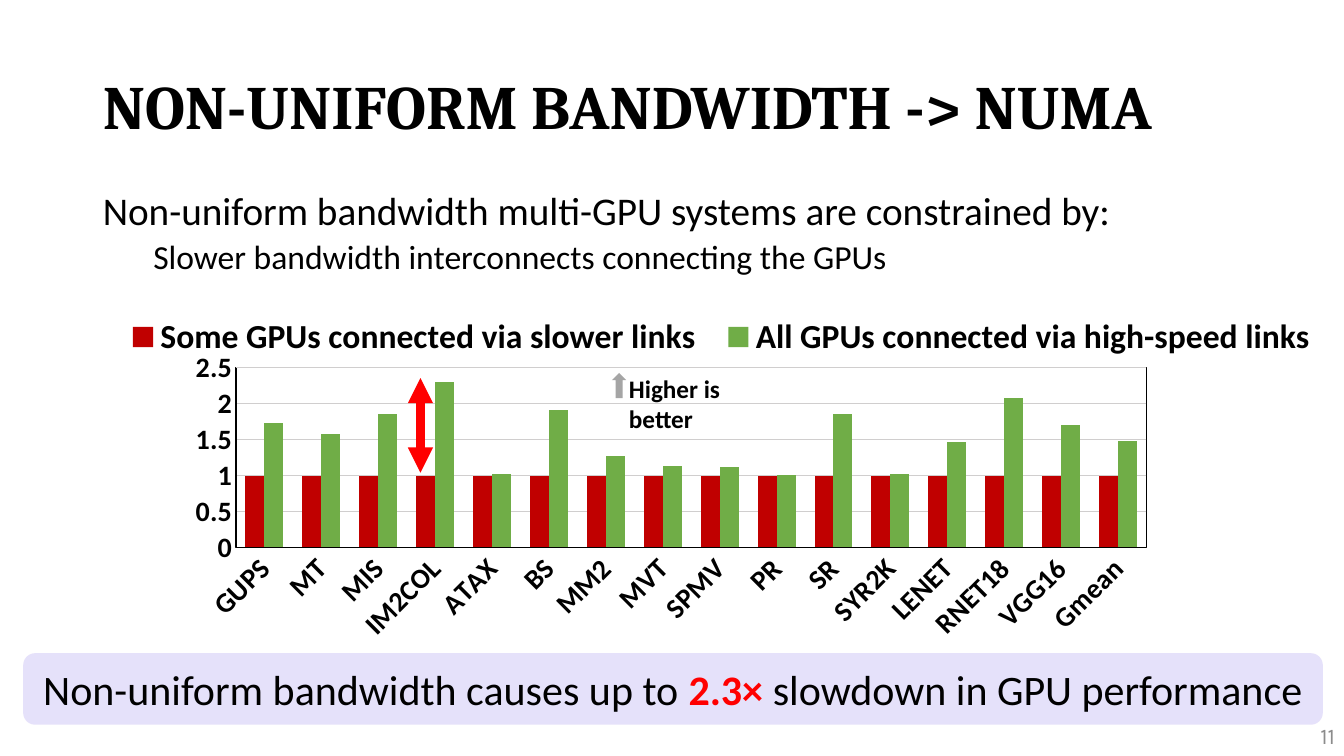
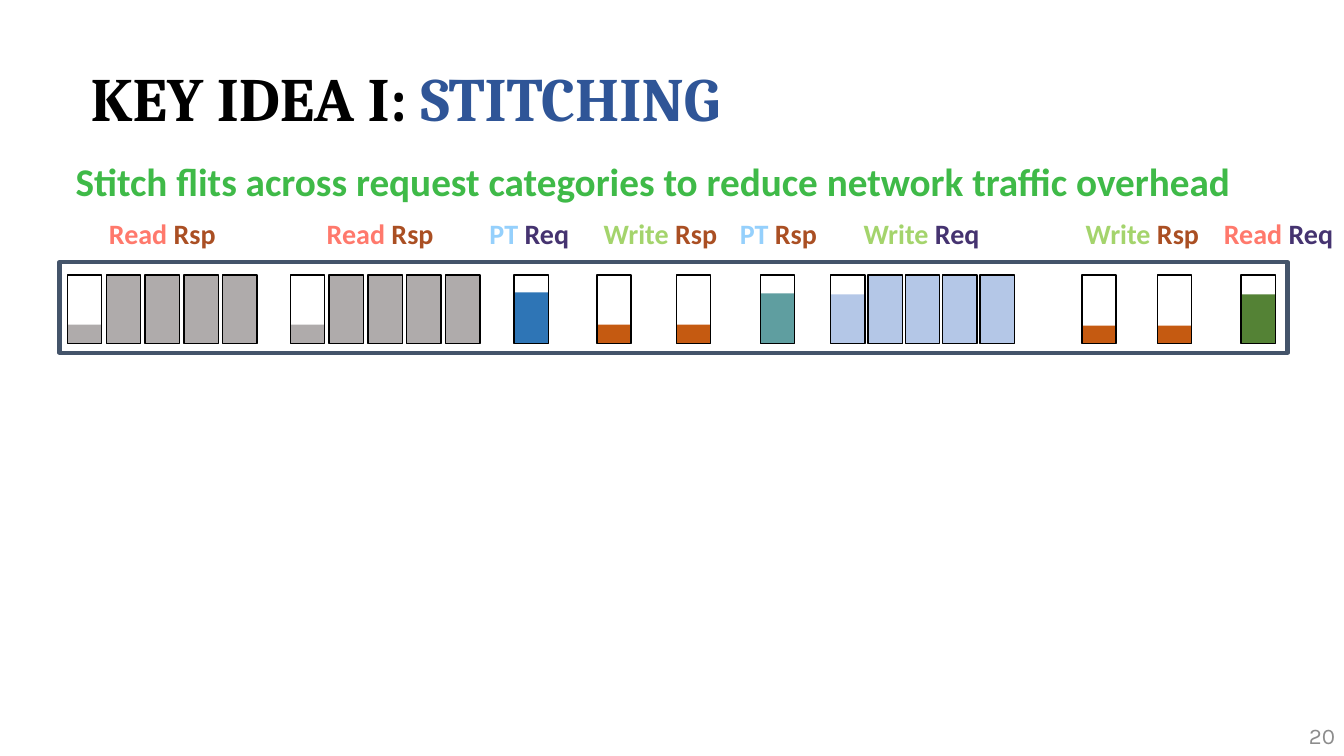
from lxml.etree import SubElement
from pptx import Presentation
from pptx.chart.data import CategoryChartData
from pptx.dml.color import RGBColor
from pptx.enum.chart import XL_CHART_TYPE, XL_LEGEND_POSITION, XL_TICK_MARK
from pptx.enum.shapes import MSO_CONNECTOR, MSO_SHAPE
from pptx.enum.text import MSO_ANCHOR, MSO_AUTO_SIZE, PP_ALIGN
from pptx.oxml import parse_xml
from pptx.oxml.ns import nsdecls, qn
from pptx.util import Inches, Pt

color = RGBColor.from_string
BLACK = "000000"
RED = "FF0000"
GREY = "AFABAB"
ORANGE = "C55A11"
PALE_BLUE = "B4C7E7"


def write(para, spans, size, font="Calibri", bold=False, align=PP_ALIGN.LEFT):
    para.alignment = align
    para.font.size = Pt(size)
    para.font.name = font
    para.font.bold = bold
    if len(spans) == 1:
        para.font.color.rgb = color(spans[0][1])
    for text, ink in spans:
        span = para.add_run()
        span.text = text
        if len(spans) > 1:
            span.font.color.rgb = color(ink)


def add_box(page, preset, left, top, width, height, fill=None, line=None, weight=1):
    box = page.shapes.add_shape(preset, Inches(left), Inches(top), Inches(width), Inches(height))
    box.shadow.inherit = False
    if fill:
        box.fill.solid()
        box.fill.fore_color.rgb = color(fill)
    else:
        box.fill.background()
    if line:
        box.line.color.rgb = color(line)
        box.line.width = Pt(weight)
    else:
        box.line.fill.background()
    return box


deck = Presentation()
deck.slide_width = Inches(13.33)
deck.slide_height = Inches(7.5)

outlines = [
    {
        "number": "11",
        "title": [("NON-UNIFORM BANDWIDTH -> NUMA", BLACK)],
        "title_at": (0.92, 0.36),
        "body_at": (0.92, 1.85, 10.63, 0.88),
        "lines": [
            ("Non-uniform bandwidth multi-GPU systems are constrained by:", 0, 28, BLACK, False),
            ("Slower bandwidth interconnects connecting the GPUs", 1, 24, BLACK, False),
        ],
    },
    {
        "number": "20",
        "title": [("KEY IDEA I: ", BLACK), ("STITCHING", "2F5597")],
        "title_at": (0.8, 0.28),
        "body_at": (0.65, 1.56, 12.06, 0.66),
        "lines": [
            ("Stitch flits across request categories to reduce network traffic overhead",
             0, 28, "3FBA48", True),
        ],
    },
]

pages = []
for outline in outlines:
    page = deck.slides.add_slide(deck.slide_layouts[1])
    pages.append(page)

    title = page.shapes.title
    title.left, title.top = [Inches(length) for length in outline["title_at"]]
    title.width, title.height = Inches(11.5), Inches(1.45)
    title.text_frame.auto_size = MSO_AUTO_SIZE.NONE
    title.text_frame.vertical_anchor = MSO_ANCHOR.MIDDLE
    para = title.text_frame.paragraphs[0]
    para.line_spacing = 0.9
    write(para, outline["title"], 44, "Cambria", True)

    body = page.placeholders[1]
    body.left, body.top, body.width, body.height = [Inches(length) for length in outline["body_at"]]
    body.text_frame.auto_size = MSO_AUTO_SIZE.NONE
    for index, (text, level, size, ink, bold) in enumerate(outline["lines"]):
        para = body.text_frame.add_paragraph() if index else body.text_frame.paragraphs[0]
        para.level = level
        para.line_spacing = 0.9
        para.space_before = Pt(5 if level else 10)
        properties = para._p.get_or_add_pPr()
        properties.set("marL", str(Inches(0.5 * level)))
        properties.set("indent", "0")
        SubElement(properties, qn("a:buNone"))
        write(para, [(text, ink)], size, bold=bold)

    number = page.shapes.add_textbox(Inches(10.34), Inches(7.1), Inches(3), Inches(0.4))
    number.text_frame.word_wrap = True
    number.text_frame.vertical_anchor = MSO_ANCHOR.MIDDLE
    write(number.text_frame.paragraphs[0], [(outline["number"], "8C8C8C")], 16, "Karla",
          align=PP_ALIGN.RIGHT)

bandwidth_page, stitching_page = pages

chart_data = CategoryChartData()
chart_data.categories = ["GUPS", "MT", "MIS", "IM2COL", "ATAX", "BS", "MM2", "MVT", "SPMV", "PR",
                         "SR", "SYR2K", "LENET", "RNET18", "VGG16", "Gmean"]
chart_data.add_series("Some GPUs connected via slower links", [1] * 16)
chart_data.add_series("All GPUs connected via high-speed links",
                      [1.73, 1.58, 1.86, 2.3, 1.02, 1.91, 1.27, 1.14, 1.12, 1.01,
                       1.85, 1.02, 1.46, 2.08, 1.71, 1.48])
chart = bandwidth_page.shapes.add_chart(
    XL_CHART_TYPE.COLUMN_CLUSTERED, Inches(0.04), Inches(3.01), Inches(13.3), Inches(4.77),
    chart_data).chart
chart.has_title = False
chart.font.name = "Calibri"
chart.font.size = Pt(10)
chart.font.color.rgb = color(BLACK)

chart.has_legend = True
chart.legend.position = XL_LEGEND_POSITION.TOP
chart.legend.include_in_layout = False
chart_fonts = [(chart.legend.font, 24)]
for axis in (chart.category_axis, chart.value_axis):
    axis.major_tick_mark = XL_TICK_MARK.NONE
    axis.minor_tick_mark = XL_TICK_MARK.NONE
    axis.format.line.color.rgb = color(BLACK)
    axis.format.line.width = Pt(0.75)
    chart_fonts.append((axis.tick_labels.font, 20))
for font, size in chart_fonts:
    font.name = "Calibri"
    font.size = Pt(size)
    font.bold = True
    font.color.rgb = color(BLACK)

chart.value_axis.minimum_scale = 0
chart.value_axis.maximum_scale = 2.5
chart.value_axis.major_unit = 0.5
gridlines = chart.value_axis.major_gridlines.format.line
gridlines.color.rgb = color("D0CECE")
gridlines.width = Pt(0.75)

plot = chart.plots[0]
plot.gap_width = 100
plot.overlap = 0
plot.vary_by_categories = False
for series, ink in zip(plot.series, ("C00000", "70AD47")):
    series.format.fill.solid()
    series.format.fill.fore_color.rgb = color(ink)

plot_area = chart.element.find(".//" + qn("c:plotArea"))
legend = chart.element.find(".//" + qn("c:legend"))
layouts = [
    (plot_area, 0, '<c:layoutTarget val="inner"/>', (0.173, 0.134, 0.679, 0.374)),
    (legend, 1, "", (0.08, 0.02, 0.91, 0.1)),
]
for parent, position, target, (left, top, width, height) in layouts:
    for present in parent.findall(qn("c:layout")):
        parent.remove(present)
    parent.insert(position, parse_xml(
        f'<c:layout {nsdecls("c")}><c:manualLayout>{target}'
        '<c:xMode val="edge"/><c:yMode val="edge"/>'
        f'<c:x val="{left}"/><c:y val="{top}"/><c:w val="{width}"/><c:h val="{height}"/>'
        '</c:manualLayout></c:layout>'))
plot_area.append(parse_xml(
    f'<c:spPr {nsdecls("c", "a")}><a:noFill/><a:ln w="12700"><a:solidFill>'
    f'<a:srgbClr val="{BLACK}"/></a:solidFill></a:ln></c:spPr>'))
label_body = plot_area.find(qn("c:catAx")).find(qn("c:txPr")).find(qn("a:bodyPr"))
label_body.set("rot", "-2700000")
label_body.set("vert", "horz")

takeaway = add_box(bandwidth_page, MSO_SHAPE.ROUNDED_RECTANGLE, 0.23, 6.48, 12.89, 0.71, "D5CDF7")
takeaway_color = takeaway.fill._xPr.find(qn("a:solidFill")).find(qn("a:srgbClr"))
SubElement(takeaway_color, qn("a:alpha")).set("val", "60000")
frame = takeaway.text_frame
frame.word_wrap = True
frame.vertical_anchor = MSO_ANCHOR.MIDDLE
frame.margin_left = frame.margin_right = frame.margin_top = frame.margin_bottom = 0
para = frame.paragraphs[0]
write(para, [("Non-uniform bandwidth causes up to ", BLACK), ("2.3×", RED),
             (" slowdown in GPU performance", BLACK)], 30, align=PP_ALIGN.CENTER)
para.runs[1].font.bold = True

gap_arrow = bandwidth_page.shapes.add_connector(
    MSO_CONNECTOR.STRAIGHT, Inches(4.17), Inches(3.75), Inches(4.17), Inches(4.69))
gap_arrow.line.color.rgb = color(RED)
gap_arrow.line.width = Pt(6)
gap_line = gap_arrow.line._get_or_add_ln()
for end in ("a:headEnd", "a:tailEnd"):
    SubElement(gap_line, qn(end)).set("type", "triangle")
SubElement(gap_arrow._element.spPr, qn("a:effectLst"))

hint = bandwidth_page.shapes.add_textbox(Inches(6.14), Inches(3.65), Inches(1.3), Inches(0.7))
hint.text_frame.word_wrap = True
write(hint.text_frame.paragraphs[0], [("Higher is better", BLACK)], 18, bold=True)
add_box(bandwidth_page, MSO_SHAPE.UP_ARROW, 6.07, 3.7, 0.14, 0.25, "A5A5A5")

READ, WRITE, TABLE = ("Read ", "FF796C"), ("Write ", "A4D46C"), ("PT ", "95D0FC")
REQUEST, RESPONSE = ("Req", "453370"), ("Rsp", "AA4F23")
flit_top, flit_width, flit_height = 2.73, 0.34, 0.68
packets = [
    ((READ, RESPONSE), 1.61, [0.67], GREY, 0.19, 0.385),
    ((READ, RESPONSE), 3.77, [2.88], GREY, 0.19, 0.385),
    ((TABLE, REQUEST), 5.25, [5.1], "2E75B6", 0.51, None),
    ((WRITE, RESPONSE), 6.55, [5.92, 6.71], ORANGE, 0.19, None),
    ((TABLE, RESPONSE), 7.72, [7.54], "5F9EA0", 0.5, None),
    ((WRITE, REQUEST), 9.14, [8.24], PALE_BLUE, 0.49, 0.37),
    ((WRITE, RESPONSE), 11.33, [10.73, 11.48], ORANGE, 0.18, None),
    ((READ, REQUEST), 12.68, [12.31], "548235", 0.49, None),
]
for words, center, lefts, fill, used_height, pitch in packets:
    for left in lefts:
        add_box(stitching_page, MSO_SHAPE.RECTANGLE, left, flit_top + flit_height - used_height,
                flit_width, used_height, fill)
        add_box(stitching_page, MSO_SHAPE.RECTANGLE, left, flit_top, flit_width, flit_height,
                line=BLACK)
    if pitch:
        for step in range(1, 5):
            add_box(stitching_page, MSO_SHAPE.RECTANGLE, lefts[0] + step * pitch, flit_top,
                    flit_width, flit_height, fill, BLACK)
    label = stitching_page.shapes.add_textbox(
        Inches(center - 0.65), Inches(2.1), Inches(1.3), Inches(0.44))
    label.text_frame.word_wrap = True
    label.text_frame.margin_left = label.text_frame.margin_right = 0
    write(label.text_frame.paragraphs[0], words, 20, bold=True, align=PP_ALIGN.CENTER)

add_box(stitching_page, MSO_SHAPE.RECTANGLE, 0.59, 2.6, 12.18, 0.9, line="44546A", weight=3)

deck.save("out.pptx")
